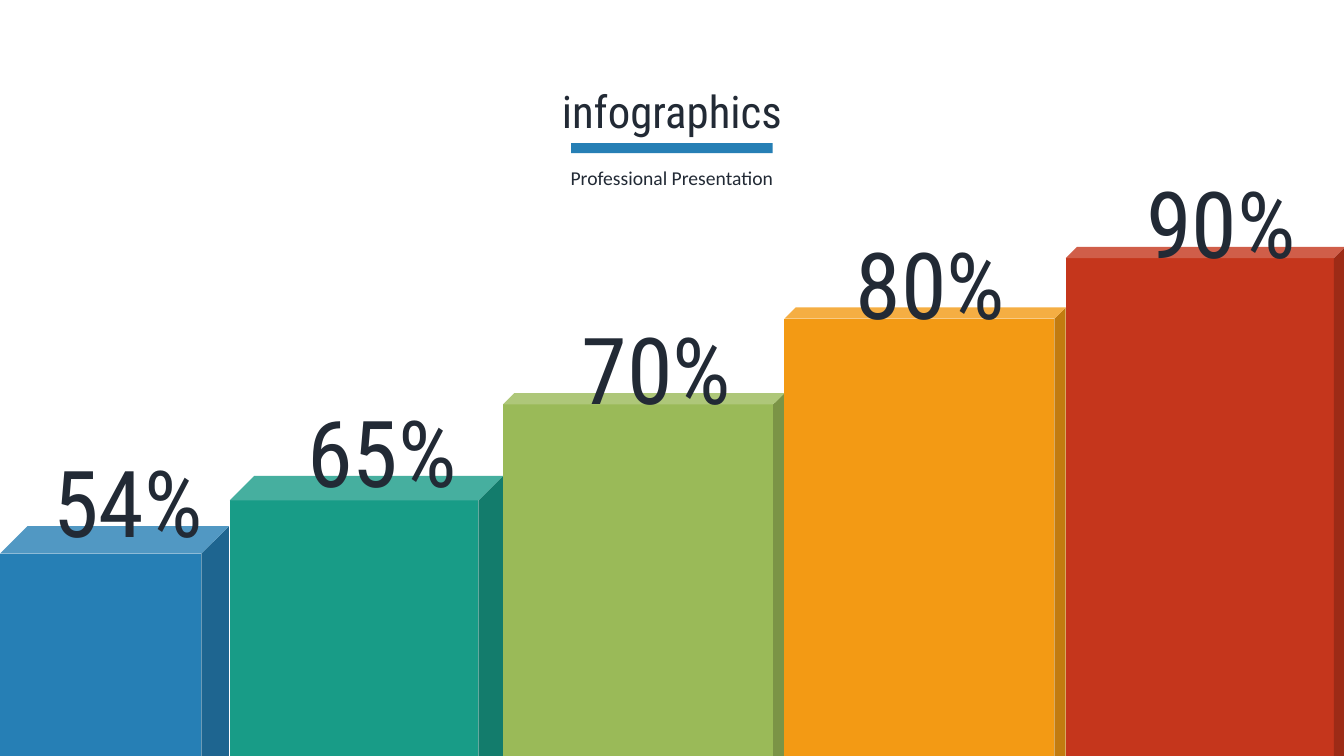
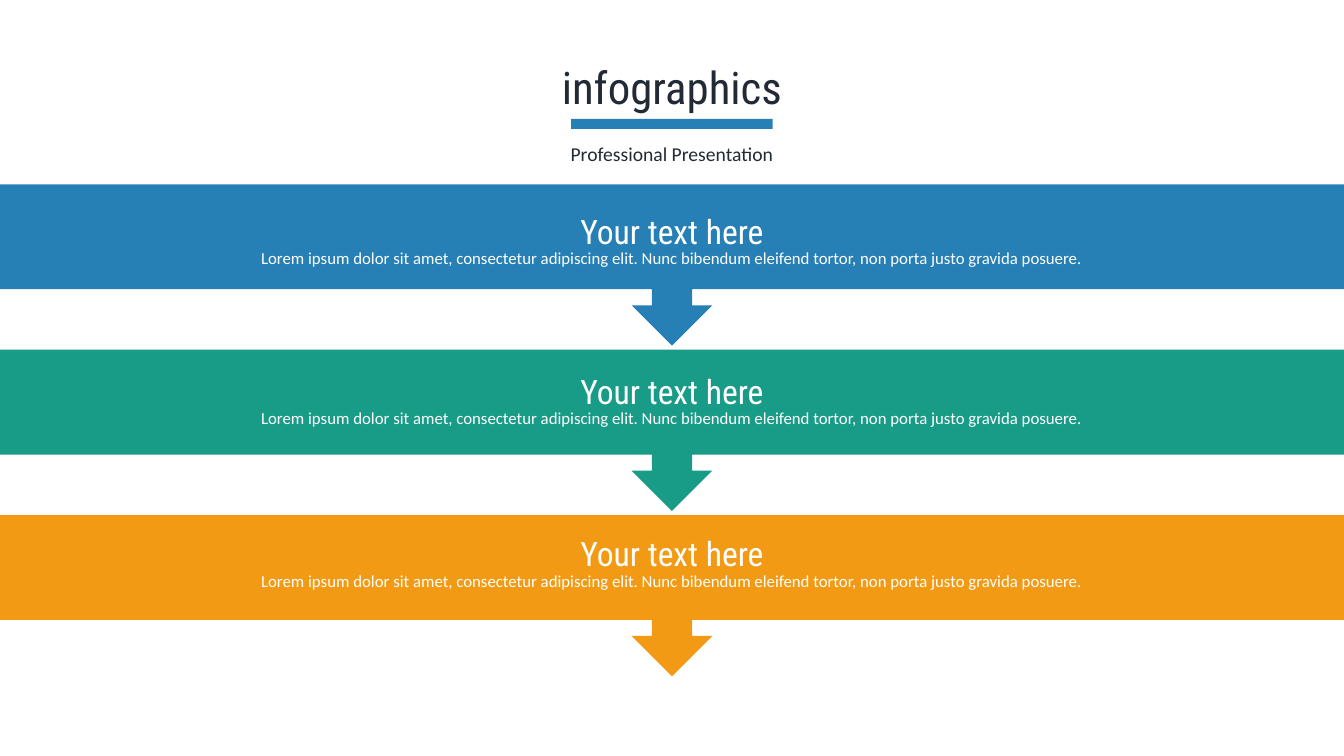
from pptx import Presentation
from pptx.dml.color import RGBColor
from pptx.enum.shapes import MSO_SHAPE as Preset
from pptx.enum.text import MSO_ANCHOR as Anchor, MSO_AUTO_SIZE as AutoSize, PP_ALIGN as Align
from pptx.util import Inches, Pt

COLORS = {
    "blue": "267FB5",
    "teal": "189C87",
    "green": "9ABA58",
    "orange": "F39A14",
    "red": "C5361C",
    "ink": "222A35",
    "white": "FFFFFF",
}
HEADING_FONT = "Roboto Condensed"
BODY_FONT = "Calibri"
SLIDE_W, SLIDE_H = 13.33, 7.5

# label, color, left, top, width, depth ratio, label shift
BARS = [
    ("54%", "blue", 0, 5.22, 2.27, 0.12, 0.04),
    ("65%", "teal", 2.28, 4.72, 2.71, 0.09, 0.28),
    ("70%", "green", 4.99, 3.9, 2.79, 0.04, 0.29),
    ("80%", "orange", 7.78, 3.05, 2.79, 0.04, 0.22),
    ("90%", "red", 10.57, 2.45, 2.77, 0.04, 0.31),
]
BARS_BOTTOM = 7.84  # the bars bleed past the lower edge

# color, distance from the band's top to its heading
BANDS = [("blue", 0.21), ("teal", 0.16), ("orange", 0.13)]
BANDS_TOP, BAND_H, BAND_STEP = 1.83, 1.6, 1.64
BAND_HEADING = "Your text here"
BAND_BODY = (
    "Lorem ipsum dolor sit amet, consectetur adipiscing elit. "
    "Nunc bibendum eleifend tortor, non porta justo gravida posuere."
)


def rgb(name):
    return RGBColor.from_string(COLORS[name])


def inches(*lengths):
    return [Inches(length) for length in lengths]


def write(holder, text, *, box, size, font=HEADING_FONT, color="ink"):
    """Place a placeholder or text box and fill it with one centred line."""
    holder.left, holder.top, holder.width, holder.height = inches(*box)
    frame = holder.text_frame
    frame.word_wrap = True
    frame.auto_size = AutoSize.NONE
    frame.vertical_anchor = Anchor.TOP
    frame.text = text
    line = frame.paragraphs[0]
    line.alignment = Align.CENTER
    line.space_before = Pt(0)
    line.font.name = font
    line.font.size = Pt(size)
    line.font.color.rgb = rgb(color)


def add_label(slide, text, *, box, **style):
    write(slide.shapes.add_textbox(*inches(*box)), text, box=box, **style)


def add_block(slide, preset, color, box):
    block = slide.shapes.add_shape(preset, *inches(*box))
    block.shadow.inherit = False
    block.fill.solid()
    block.fill.fore_color.rgb = rgb(color)
    block.line.fill.background()
    return block


def add_titled_slide(prs, top):
    """Add a slide whose title, rule and subtitle start at the given height."""
    slide = prs.slides.add_slide(prs.slide_layouts[0])
    title, subtitle = slide.placeholders
    write(title, "infographics", box=(0, top, SLIDE_W, 0.64), size=32)
    write(subtitle, "Professional Presentation",
          box=(0.68, top + 0.82, SLIDE_W - 2 * 0.68, 0.34), size=14, font=BODY_FONT)
    add_block(slide, Preset.RECTANGLE, "blue", ((SLIDE_W - 2) / 2, top + 0.64, 2, 0.1))
    return slide


def add_bar(slide, color, box, depth):
    bar = add_block(slide, Preset.CUBE, color, box)
    bar.adjustments[0] = depth


def add_band(slide, color, heading_gap, box):
    left, top, width, _ = box
    heading_top = top + heading_gap
    add_block(slide, Preset.DOWN_ARROW_CALLOUT, color, box)
    add_label(slide, BAND_BODY, box=(left, heading_top + 0.37, width, 0.3),
              size=12, font=BODY_FONT, color="white")
    add_label(slide, BAND_HEADING, box=(left, heading_top, width, 0.5),
              size=24, color="white")


def build_bars_slide(prs):
    slide = add_titled_slide(prs, 0.78)
    for _, color, left, top, width, depth, _ in BARS:
        add_bar(slide, color, (left, top, width, BARS_BOTTOM - top), depth)
    for label, _, left, top, _, _, shift in BARS:
        add_label(slide, label, box=(left + shift, top - 0.85, 2.46, 1.21), size=66)


def build_bands_slide(prs):
    slide = add_titled_slide(prs, 0.54)
    for row, (color, heading_gap) in enumerate(BANDS):
        add_band(slide, color, heading_gap,
                 (0, BANDS_TOP + row * BAND_STEP, SLIDE_W, BAND_H))


def main():
    prs = Presentation()
    prs.slide_width, prs.slide_height = inches(SLIDE_W, SLIDE_H)
    build_bars_slide(prs)
    build_bands_slide(prs)
    prs.save("out.pptx")


if __name__ == "__main__":
    main()
